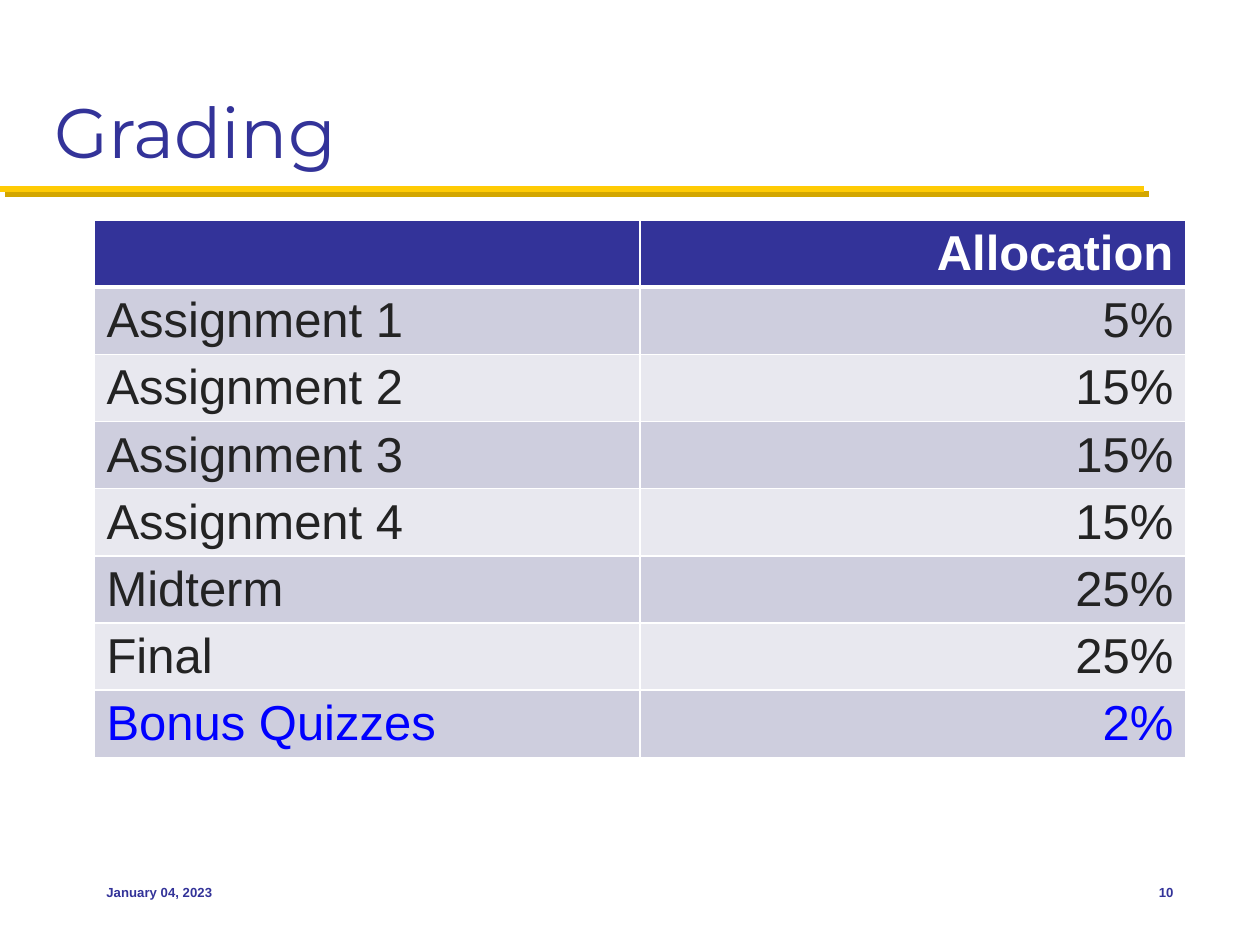
from pptx import Presentation
from pptx.dml.color import RGBColor
from pptx.enum.shapes import MSO_CONNECTOR as Connector
from pptx.enum.text import MSO_ANCHOR as Anchor, PP_ALIGN as Align
from pptx.oxml import parse_xml
from pptx.oxml.ns import nsdecls
from pptx.util import Emu, Pt

SCALE = 914400 / 126
COLORS = {
    "navy": "333399", "gold": "FFCB05", "dark_gold": "D3A600", "white": "FFFFFF",
    "ink": "232323", "bonus": "0000FF", "band": "CECEDE", "light": "E8E8EF",
}
TITLE = {"name": "Montserrat", "size": Pt(40), "bold": False, "color": "navy"}
BODY = {"name": "Arial", "size": Pt(28), "bold": False, "color": "ink"}
HEADER = {**BODY, "bold": True, "color": "white"}
BONUS = {**BODY, "color": "bonus"}
FOOTER = {"name": "Arial", "size": Pt(7.5), "bold": True, "color": "navy"}
GRADES = [
    ("", "Allocation"),
    ("Assignment 1", "5%"),
    ("Assignment 2", "15%"),
    ("Assignment 3", "15%"),
    ("Assignment 4", "15%"),
    ("Midterm", "25%"),
    ("Final", "25%"),
    ("Bonus Quizzes", "2%"),
]


def px(value):
    return Emu(round(value * SCALE))


def color(name):
    return RGBColor.from_string(COLORS[name])


def write(frame, text, style, align=Align.LEFT):
    paragraph = frame.paragraphs[0]
    paragraph.alignment = align
    if not text:
        return
    run = paragraph.add_run()
    run.text = text
    for key, value in style.items():
        if key == "color":
            run.font.color.rgb = color(value)
        else:
            setattr(run.font, key, value)


def add_text(slide, box, text, style, anchor, align=Align.LEFT, wrap=True):
    shape = slide.shapes.add_textbox(*map(px, box))
    frame = shape.text_frame
    frame.word_wrap = wrap
    frame.vertical_anchor = anchor
    write(frame, text, style, align)


def add_title(slide, box):
    add_text(slide, box, "Grading", TITLE, Anchor.BOTTOM)


def add_rule(slide, box):
    left, top, width, height = box
    line = slide.shapes.add_connector(
        Connector.STRAIGHT, px(left), px(top), px(left + width), px(top + height))
    line.line.color.rgb = color("gold")
    line.line.width = Pt(3.5)
    line._element.spPr.append(parse_xml(
        f'<a:effectLst {nsdecls("a")}>'
        f'<a:outerShdw dist="{Pt(4.2)}" dir="2700000" algn="ctr" rotWithShape="0">'
        f'<a:srgbClr val="{COLORS["dark_gold"]}"/></a:outerShdw></a:effectLst>'))


def set_borders(cell, widths):
    properties = cell._tc.get_or_add_tcPr()
    for side, width in widths.items():
        properties.append(parse_xml(
            f'<a:ln{side} {nsdecls("a")} w="{Pt(width)}"><a:solidFill>'
            f'<a:srgbClr val="{COLORS["white"]}"/></a:solidFill></a:ln{side}>'))


def add_grades(slide, box):
    table = slide.shapes.add_table(len(GRADES), 2, *map(px, box)).table
    for row, values in enumerate(GRADES):
        if row == 0:
            fill, style = "navy", HEADER
        else:
            fill = "band" if row % 2 else "light"
            style = BONUS if row == len(GRADES) - 1 else BODY
        for column, text in enumerate(values):
            cell = table.cell(row, column)
            cell.margin_bottom = px(2)
            set_borders(cell, {"L": 1, "R": 1, "T": 3 if row == 1 else 1,
                               "B": 3 if row == 0 else 1})
            cell.fill.solid()
            cell.fill.fore_color.rgb = color(fill)
            write(cell.text_frame, text, style, Align.RIGHT if column else Align.LEFT)


def add_footer(slide, box):
    left, top, width, height = box
    date_width, number_width = 262, 84
    add_text(slide, (left, top, date_width, height), "January 04, 2023",
             FOOTER, Anchor.MIDDLE, wrap=False)
    add_text(slide, (left + width - number_width, top, number_width, height), "10",
             FOOTER, Anchor.MIDDLE, Align.RIGHT, wrap=False)


def main():
    presentation = Presentation()
    presentation.slide_width, presentation.slide_height = px(1260), px(945)
    slide = presentation.slides.add_slide(presentation.slide_layouts[6])
    add_rule(slide, (0, 189, 1144, 0))
    add_title(slide, (42, 21, 1176, 158))
    add_grades(slide, (94, 220, 1092, 536))
    add_footer(slide, (94, 861, 1092, 63))
    presentation.save("out.pptx")


if __name__ == "__main__":
    main()
